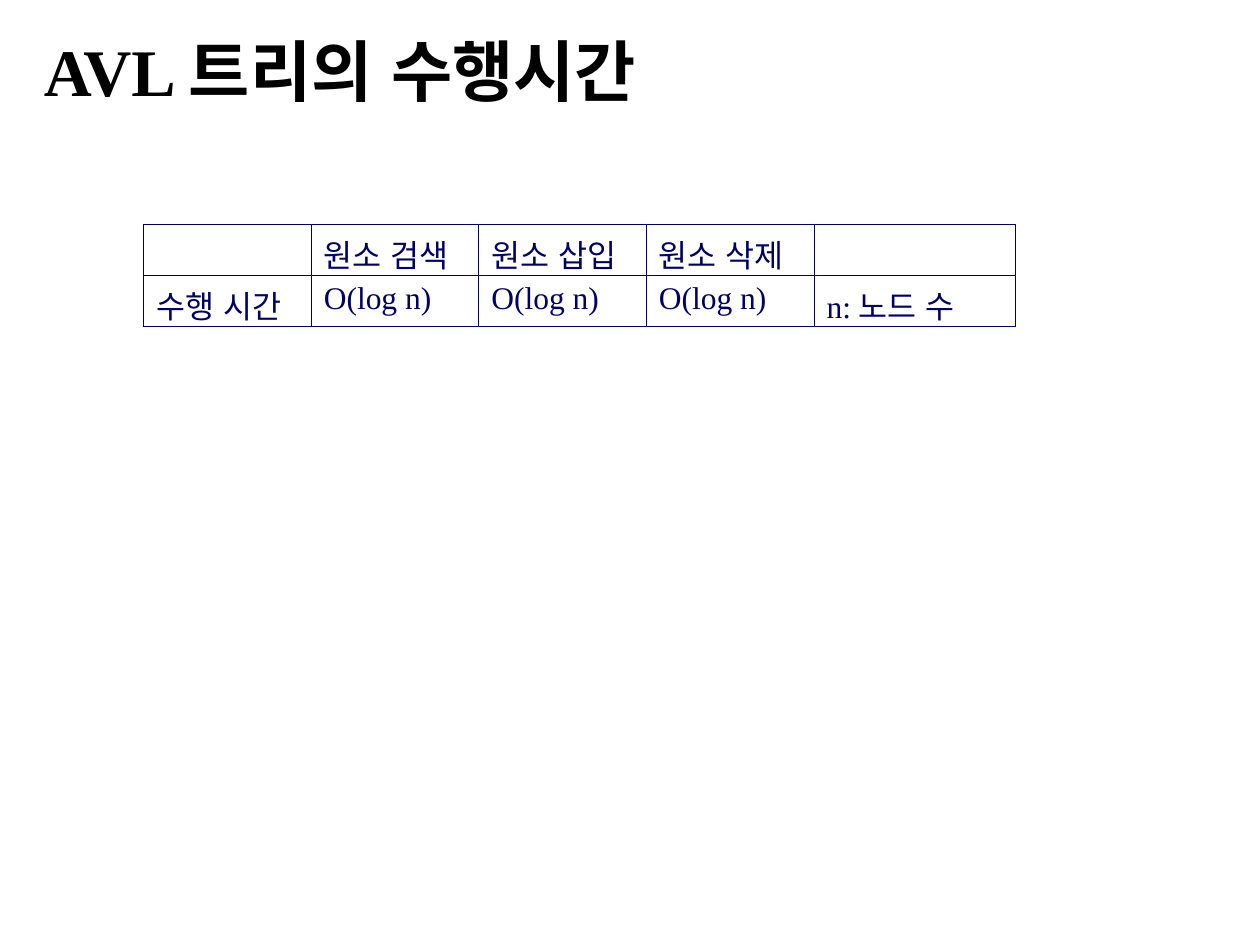
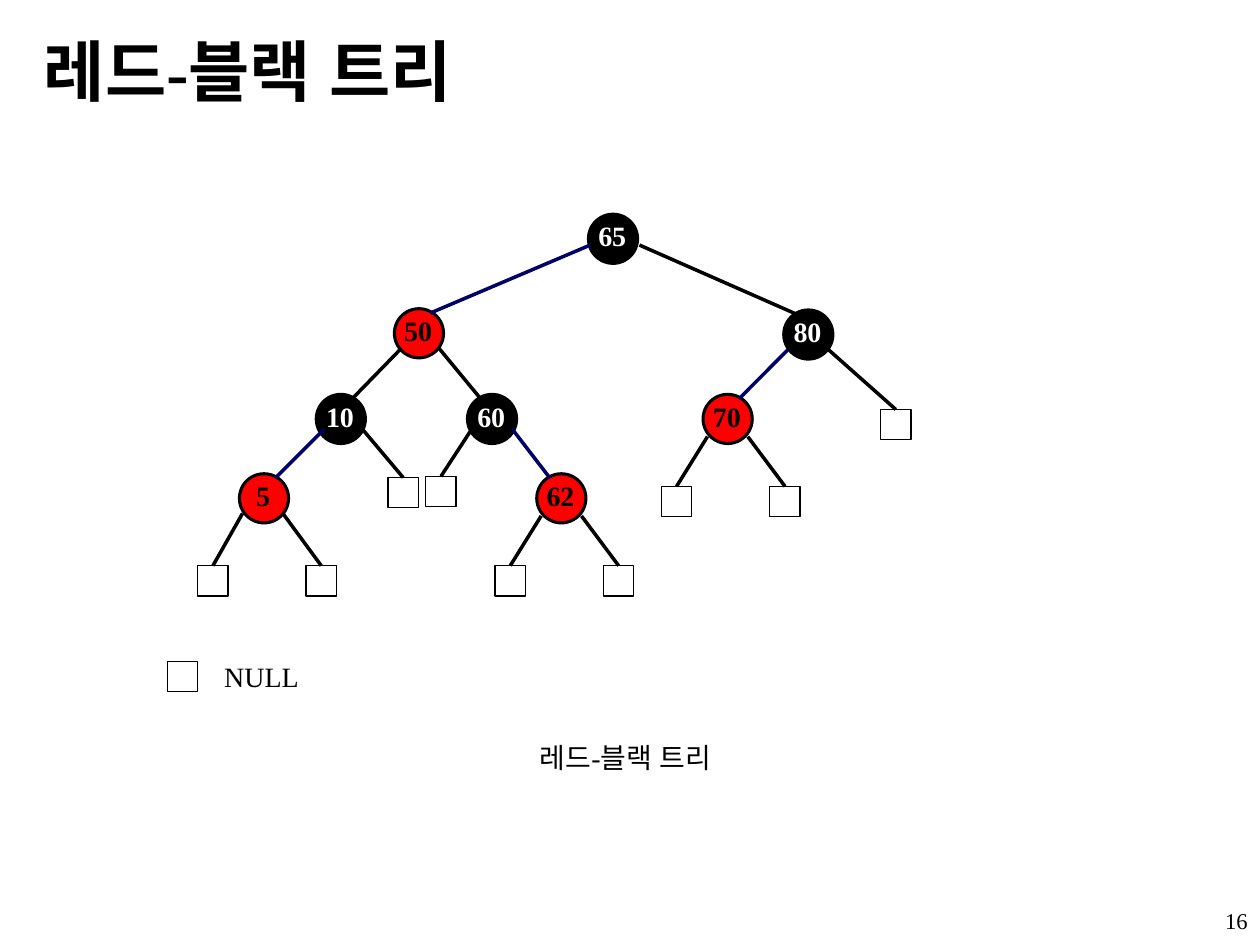
from lxml.etree import SubElement
from pptx import Presentation
from pptx.dml.color import RGBColor
from pptx.enum.lang import MSO_LANGUAGE_ID
from pptx.enum.shapes import MSO_CONNECTOR, MSO_SHAPE
from pptx.enum.text import MSO_ANCHOR, PP_ALIGN
from pptx.oxml.ns import qn
from pptx.util import Inches, Pt

BLACK, WHITE, RED, NAVY = "000000", "FFFFFF", "FF0000", "000066"
FONT = "Times New Roman"
SLIDE_SIZE = (10, 7.5)
TITLE_AREA = (0.25, 0.25, 9.42, 0.67)
CAPTION = {"size": 16, "spacing": 0.8, "align": PP_ALIGN.CENTER}

TIMES_TITLE = "AVL 트리의 수행시간"
TIMES_AREA = (1.14, 1.78, 6.93, 0.81)
TIMES_COLUMNS = (1.33, 1.33, 1.33, 1.33, 1.6)
TIMES_ROWS = [
    ("", "원소 검색", "원소 삽입", "원소 삭제", ""),
    ("수행 시간", "O(log n)", "O(log n)", "O(log n)", "n: 노드 수"),
]

TREE_TITLE = "레드-블랙 트리"
NODE_SIZE, NULL_SIZE = 0.39, 0.24
ENTRY = (0.09, 0.16)  # where an edge meets a child, from the child's centre
NULL_PAIR = ((-0.33, 0.73), (0.53, 0.73))
# key: left, top, colour, edge starts (left, right, down from the centre),
# children: a key, or the offset of a null box from the node's corner
TREE = {
    65: (4.67, 1.7, BLACK, (0.18, 0.21, 0.05), (50, 80)),
    50: (3.13, 2.45, RED, (0.14, 0.16, 0.12), (10, 60)),
    80: (6.22, 2.46, BLACK, (0.16, 0.16, 0.12), (70, (0.77, 0.79))),
    10: (2.51, 3.13, BLACK, (0.13, 0.17, 0.08), (5, (0.57, 0.66))),
    60: (3.71, 3.13, BLACK, (0.16, 0.16, 0.08), ((-0.33, 0.65), 62)),
    70: (5.58, 3.13, RED, (0.16, 0.16, 0.14), NULL_PAIR),
    5: (1.9, 3.76, RED, (0.17, 0.15, 0.12), NULL_PAIR),
    62: (4.26, 3.76, RED, (0.16, 0.16, 0.14), NULL_PAIR),
}


def color(hex_value):
    return RGBColor.from_string(hex_value)


def inches(values):
    return [Inches(value) for value in values]


def write(frame, text, size, ink=BLACK, bold=False, align=PP_ALIGN.LEFT, spacing=1.0):
    para = frame.paragraphs[0]
    para.alignment, para.line_spacing = align, spacing
    span = para.add_run()
    span.text = text
    formats = {"name": FONT, "size": Pt(size), "bold": bold,
               "language_id": MSO_LANGUAGE_ID.KOREAN}
    for name, value in formats.items():
        setattr(span.font, name, value)
    span.font.color.rgb = color(ink)


def add_text(page, area, text, anchor=MSO_ANCHOR.TOP, right_inset=0.1, **style):
    frame = page.shapes.add_textbox(*inches(area)).text_frame
    formats = {"word_wrap": True, "vertical_anchor": anchor,
               "margin_right": Inches(right_inset)}
    for name, value in formats.items():
        setattr(frame, name, value)
    write(frame, text, **style)


def add_page(deck, title):
    page = deck.slides.add_slide(deck.slide_layouts[6])
    add_text(page, TITLE_AREA, title, anchor=MSO_ANCHOR.BOTTOM, size=38, bold=True)
    return page


def add_outlined(page, kind, left, top, size, line_width, fill=None):
    shape = page.shapes.add_shape(kind, *inches((left, top, size, size)))
    shape.shadow.inherit = False
    if fill:
        shape.fill.solid()
        shape.fill.fore_color.rgb = color(fill)
    else:
        shape.fill.background()
    shape.line.color.rgb = color(BLACK)
    shape.line.width = Pt(line_width)
    return shape


def add_null(page, left, top):
    return add_outlined(page, MSO_SHAPE.RECTANGLE, left, top, NULL_SIZE, 0.75)


def add_edge(page, start, end, ink):
    edge = page.shapes.add_connector(MSO_CONNECTOR.STRAIGHT, *inches(start + end))
    edge.line.color.rgb = color(ink)
    edge.line.width = Pt(2)
    SubElement(edge.element.spPr, qn("a:effectLst"))
    return edge


def border(cell):
    properties = cell._tc.get_or_add_tcPr()
    for side in ("lnL", "lnR", "lnT", "lnB"):
        line = SubElement(properties, qn(f"a:{side}"), w=str(Pt(0.45)))
        fill = SubElement(line, qn("a:solidFill"))
        SubElement(fill, qn("a:srgbClr"), val=NAVY)


def add_times_table(page):
    shape = page.shapes.add_table(len(TIMES_ROWS), len(TIMES_COLUMNS), *inches(TIMES_AREA))
    table = shape.table
    table.first_row = table.horz_banding = False
    for column, width in zip(table.columns, TIMES_COLUMNS):
        column.width = Inches(width)
    for row, texts in zip(table.rows, TIMES_ROWS):
        for cell, text in zip(row.cells, texts):
            border(cell)
            cell.fill.background()
            if text:
                write(cell.text_frame, text, 18, NAVY)


def center(key):
    left, top = TREE[key][:2]
    return left + NODE_SIZE / 2, top + NODE_SIZE / 2


def add_node(page, key):
    left, top, fill = TREE[key][:3]
    add_outlined(page, MSO_SHAPE.OVAL, left, top, NODE_SIZE, 1.75, fill)
    add_text(page, (left - 0.03, top + 0.04, 0.53, 0.32), str(key), right_inset=0.19,
             ink=WHITE if fill == BLACK else BLACK, bold=True, **CAPTION)


def add_branches(page, key):
    """Draw the edges below a node, and the null boxes they lead to."""
    left, top, _, (start_left, start_right, down), children = TREE[key]
    x, y = center(key)
    for side, reach, child in zip((-1, 1), (start_left, start_right), children):
        start = (x + side * reach, y + down)
        if child in TREE:
            child_x, child_y = center(child)
            end = (child_x - side * ENTRY[0], child_y - ENTRY[1])
            add_edge(page, start, end, NAVY if TREE[child][2] == RED and key != 50 else BLACK)
        else:
            box_left, box_top = left + child[0], top + child[1]
            box = add_null(page, box_left, box_top)
            edge = add_edge(page, start, (box_left + NULL_SIZE / 2, box_top), BLACK)
            edge.end_connect(box, 0)


def main():
    deck = Presentation()
    deck.slide_width, deck.slide_height = inches(SLIDE_SIZE)

    add_times_table(add_page(deck, TIMES_TITLE))

    page = add_page(deck, TREE_TITLE)
    add_text(page, (7.92, 7.17, 2.08, 0.33), "16", size=12.9, spacing=0.9,
             align=PP_ALIGN.RIGHT)
    add_text(page, (3.98, 5.88, 1.97, 0.32), TREE_TITLE, **CAPTION)
    for key in TREE:
        add_node(page, key)
    for key in TREE:
        add_branches(page, key)
    add_null(page, 1.33, 5.25)
    add_text(page, (1.67, 5.24, 0.81, 0.32), "NULL", **CAPTION)

    deck.save("out.pptx")


if __name__ == "__main__":
    main()
